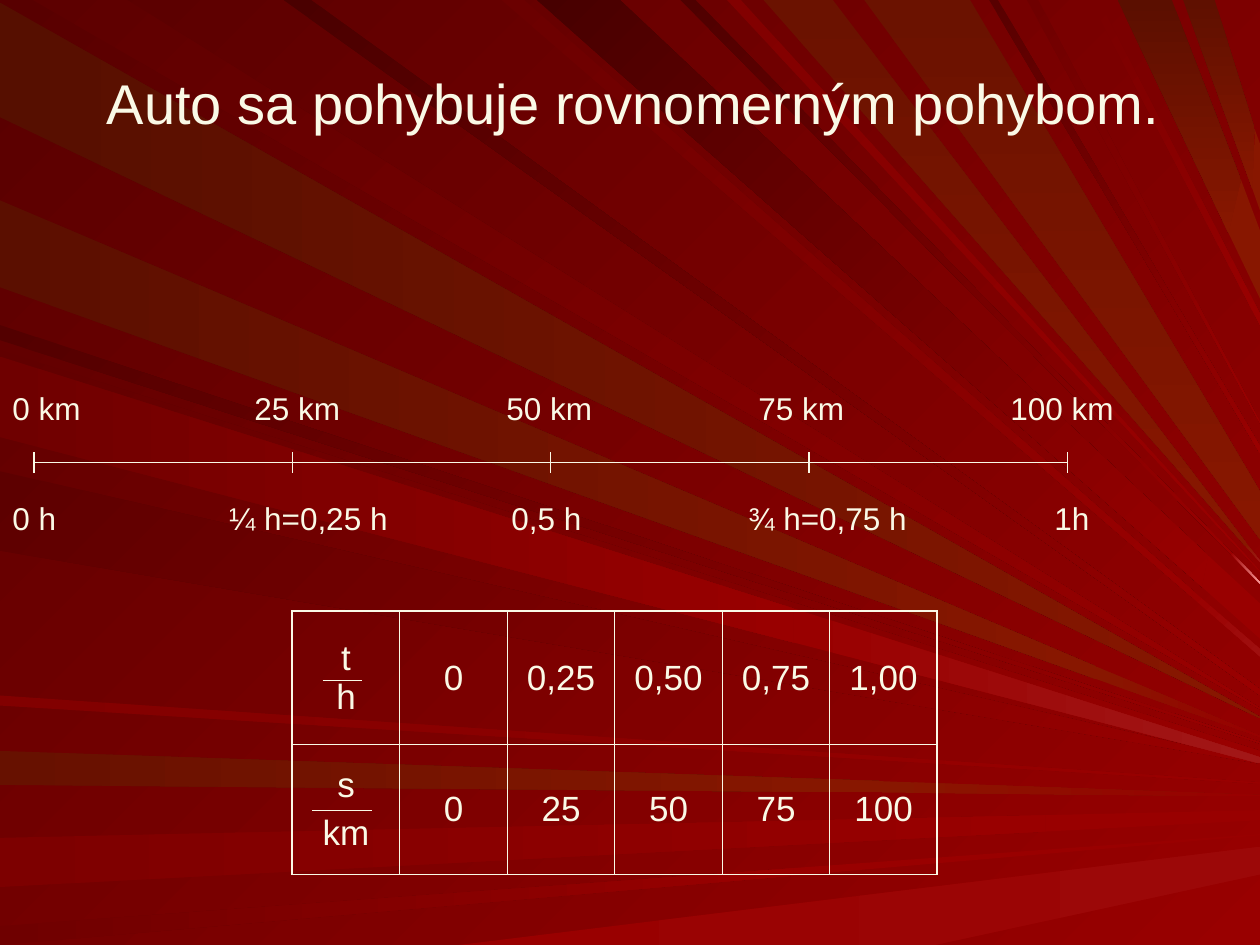
"""Builds a slide on uniform motion: a distance and time scale above a table, on red rays."""
from lxml.etree import SubElement
from pptx import Presentation
from pptx.dml.color import RGBColor
from pptx.enum.shapes import MSO_CONNECTOR
from pptx.enum.text import MSO_ANCHOR, PP_ALIGN
from pptx.oxml.ns import qn
from pptx.util import Cm, Pt

HUE = {
    "cream": "FAF9E6", "red": "990000", "rust": "881700", "pink": "FF9999",
    "rose": "A21717", "coral": "9F0F0F", "cherry": "9C0808",
    "bark": "560F00", "umber": "5B0F00", "clay": "5F1000", "earth": "671100", "brick": "6B1200",
    "black": "470000", "soot": "4A0000", "coal": "4F0000", "plum": "530000", "night": "580000",
    "wine": "5D0000", "port": "610000", "blood": "6B0000", "garnet": "6F0000",
    "ruby": "790000", "claret": "7D0000", "crimson": "820000",
}
ANGLE = {"flat": 0, "slant": 45, "down": 90}
RAYS = [
    ("left", "flat", "bark", "rust", 2, 93, 569),
    ("top", "slant", "wine", "red", 26, 101, 563),
    ("left", "flat", "earth", "rust", 596, 623, 631, 1, "red", 0.7),
    ("left", "flat", "claret", "red", 665, 704, 643, 8, "red", 0.83),
    ("left", "flat", "garnet", "red", 735, 750, 662, 1, "red", 0.63),
    ("base", "flat", "red", "cherry", 364, 742, 672, 22),
    ("left", "slant", "plum", "red", 258, 270, 589),
    ("left", "flat", "umber", "rust", 159, 228, 584, 1, "red", 0.87),
    ("top", "slant", "blood", "red", 398, 416, 521, 6, "coral", 0.91),
    ("top", "slant", "black", "red", 426, 492, 507, 28, "red", 0.92),
    ("top", "slant", "coal", "red", 540, 552, 463, 1, "pink", 0.95),
    ("top", "down", "brick", "rust", 606, 661, 446, 1, "rose", 0.97),
    ("top", "down", "umber", "rust", 887, 930, 237, 54, "rust", 0.78),
    ("top", "down", "clay", "rust", 939, 964, 167, 53, "rust", 0.9),
    ("left", "slant", "port", "red", 278, 342, 596, 6),
    ("left", "slant", "wine", "red", 374, 437, 605),
    ("left", "flat", "crimson", "red", 552, 560, 621),
    ("top", "slant", "soot", "red", 225, 247, 552, 5),
    ("top", "slant", "crimson", "red", 577, 588, 454),
    ("top", "down", "brick", "rust", 686, 770, 428, 38),
    ("top", "slant", "night", "red", 785, 792, 360, 6),
    ("top", "slant", "garnet", "red", 815, 824, 336),
    ("top", "slant", "ruby", "red", 865, 872, 258, 9),
    ("left", "flat", "garnet", "red", 283, 347, 601, 5, "rose", 0.63),
]
TITLE = "Auto sa pohybuje rovnomerným pohybom."
SCALES = [
    (3.91, ["0 h", "¼ h=0,25 h", "0,5 h", "¾ h=0,75 h", "1h"], [1.72, 3.96, 5.84, 8.27]),
    (3.04, ["0 km", "25 km", "50 km", "75 km", "100 km"], [1.92, 3.92, 5.92, 7.92]),
]
TABLE = [["t\vh", "0", "0,25", "0,50", "0,75", "1,00"],
         ["s\nkm", "0", "25", "50", "75", "100"]]
ROWS = [1.06, 1.03]
BARS = [(2.56, 5.4, 2.87), (2.48, 6.43, 2.95)]
LEFT, STEP, AXIS, TICK = 0.27, 2.05, 3.67, 0.08


def size(inch):
    return Cm(inch * 2.54)


def paint(fill, first, last, angle):
    if first == last:
        fill.solid()
        fill.fore_color.rgb = RGBColor.from_string(HUE[first])
        return
    fill.gradient()
    fill.gradient_angle = (360 - angle) % 360
    for stop, name in zip(fill.gradient_stops, (first, last)):
        stop.color.rgb = RGBColor.from_string(HUE[name])


def style(frame, points):
    look = {"size": Pt(points), "name": "Arial"}
    for para in frame.paragraphs:
        for key, value in look.items():
            setattr(para.font, key, value)
        para.font.color.rgb = RGBColor.from_string(HUE["cream"])


def add_beam(slide, first, last, angle, dots):
    pen = slide.shapes.build_freeform(*dots[0], scale=size(0.01))
    pen.add_line_segments(dots[1:], close=True)
    beam = pen.convert_to_shape()
    beam.shadow.inherit = False
    beam.line.fill.background()
    paint(beam.fill, first, last, angle)


def add_ray(slide, side, look, first, last, near, next_, tip, wide=1, far=None, cut=1):
    spot = {"left": lambda v: (0, v), "top": lambda v: (v, 0), "base": lambda v: (v, 750)}[side]
    roots = [spot(near), spot(next_)]
    tips = [(1000, tip), (1000, tip - wide if side == "top" else tip + wide)]
    mids = [tuple(a + (b - a) * cut for a, b in zip(*pair)) for pair in zip(roots, tips)]
    add_beam(slide, first, last, ANGLE[look], roots + mids[::-1])
    if far:
        add_beam(slide, last, far, ANGLE[look], mids + tips[::-1])


def add_line(slide, *ends):
    line = slide.shapes.add_connector(MSO_CONNECTOR.STRAIGHT, *map(size, ends))
    line.line.width = Pt(0.75)
    line.line.color.rgb = RGBColor.from_string(HUE["cream"])
    SubElement(line._element.spPr, qn("a:effectLst"))


def add_text(slide, place, text, points, stops=()):
    frame = slide.shapes.add_textbox(*map(size, place)).text_frame
    frame.word_wrap = True
    frame.text = text
    if stops:
        tabs = SubElement(frame.paragraphs[0]._p.get_or_add_pPr(), qn("a:tabLst"))
        for stop in stops:
            SubElement(tabs, qn("a:tab"), pos=str(size(stop)), algn="l")
    style(frame, points)
    return frame


def add_edges(cell, outer):
    props = cell._tc.get_or_add_tcPr()
    for side, bold in zip("LRTB", outer):
        width = Pt(1.08) if bold else Pt(0.45)
        edge = SubElement(props, qn(f"a:ln{side}"), w=str(width))
        SubElement(SubElement(edge, qn("a:solidFill")), qn("a:srgbClr"), val=HUE["cream"])


def add_grid(slide):
    place = map(size, (2.32, 4.85, 5.12, sum(ROWS)))
    grid = slide.shapes.add_table(len(TABLE), len(TABLE[0]), *place).table
    grid.first_row = grid.horz_banding = False
    for r, row in enumerate(TABLE):
        grid.rows[r].height = size(ROWS[r])
        for c, text in enumerate(row):
            cell = grid.cell(r, c)
            cell.text = text
            cell.vertical_anchor = MSO_ANCHOR.MIDDLE
            add_edges(cell, (c == 0, c == len(row) - 1, r == 0, r == len(TABLE) - 1))
            cell.fill.background()
            for n, para in enumerate(cell.text_frame.paragraphs):
                para.alignment = PP_ALIGN.CENTER
                if n:
                    para.space_before = Pt(5)
            style(cell.text_frame, 20)


def main():
    deck = Presentation()
    deck.slide_width, deck.slide_height = size(10), size(7.5)
    slide = deck.slides.add_slide(deck.slide_layouts[6])
    paint(slide.background.fill, "night", "red", 45)
    for ray in RAYS:
        add_ray(slide, *ray)
    add_text(slide, (0.75, 0.44, 8.58, 0.79), TITLE, 32).margin_top = size(0.1)
    marks = [LEFT + STEP * n for n in range(5)]
    for start, end in zip(marks, marks[1:]):
        add_line(slide, start, AXIS, end, AXIS)
    for mark in marks:
        add_line(slide, mark, AXIS - TICK, mark, AXIS + TICK)
    for top, words, stops in SCALES:
        add_text(slide, (0, top, 9.41, 0.4), "\t".join(words), 18, stops)
    add_grid(slide)
    for start, level, end in BARS:
        add_line(slide, start, level, end, level)
    deck.save("out.pptx")


if __name__ == "__main__":
    main()
